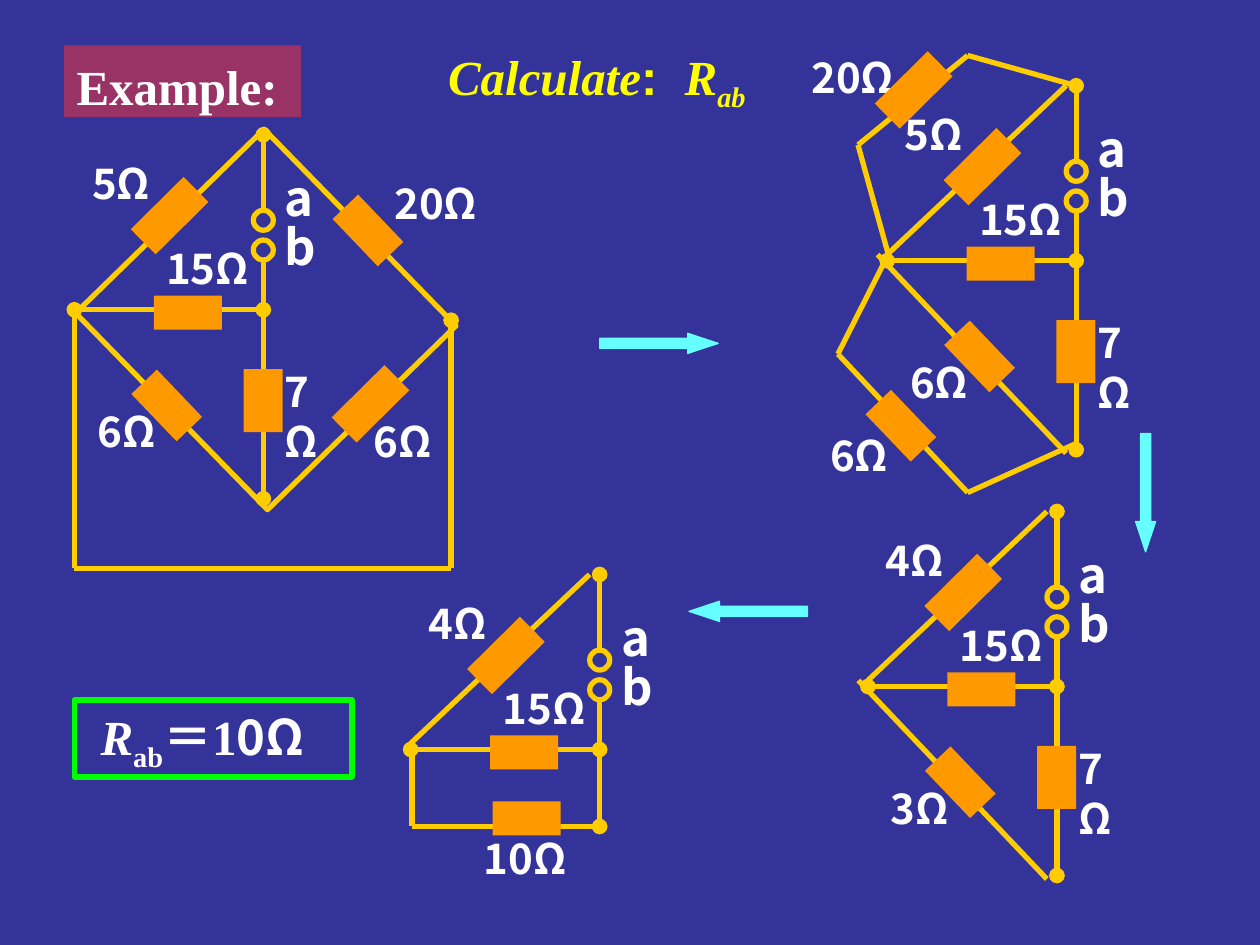
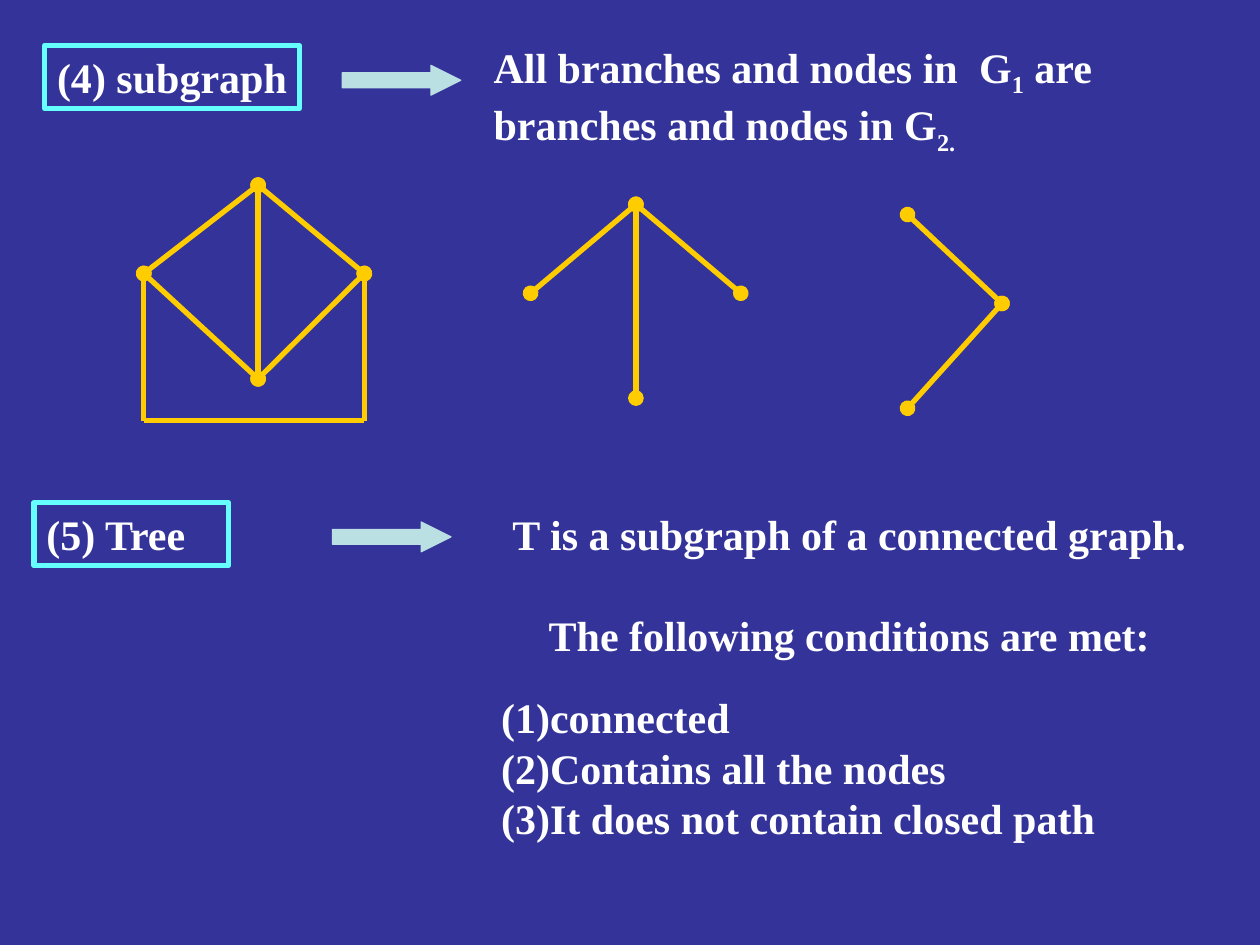
from itertools import pairwise

from pptx import Presentation
from pptx.dml.color import RGBColor
from pptx.enum import shapes, text
from pptx.oxml import ns
from pptx.oxml.xmlchemy import OxmlElement
from pptx.util import Pt

NAVY = RGBColor(0x33, 0x33, 0x99)
PLUM = RGBColor(0x99, 0x33, 0x66)
WHITE = RGBColor(0xFF, 0xFF, 0xFF)
YELLOW = RGBColor(0xFF, 0xFF, 0x00)
GOLD = RGBColor(0xFF, 0xCC, 0x00)
ORANGE = RGBColor(0xFF, 0x99, 0x00)
AQUA = RGBColor(0x66, 0xFF, 0xFF)
PALE_TEAL = RGBColor(0xBB, 0xE0, 0xE3)
GREEN = RGBColor(0x00, 0xFF, 0x00)

SERIF, SANS, PLAIN = "Times New Roman", "Noto Sans CJK SC", "Arial"
STROKE = 3
LINE_HEIGHT = 28.8

# Resistor symbols: width, height, rotation
RISING = (20.2, 42.5, 45.3)
FALLING = (20.2, 37.4, 316.3)
LEVEL = (38.9, 19.4, 0)
UPRIGHT = (22.3, 36, 0)


def new_slide(deck):
    slide = deck.slides.add_slide(deck.slide_layouts[6])
    slide.background.fill.solid()
    slide.background.fill.fore_color.rgb = NAVY
    return slide


def figure(slide, kind, left, top, width, height, fill=None, line=None,
           weight=STROKE, rotation=0):
    """Add a preset shape; without fill or line that part stays empty."""
    shape = slide.shapes.add_shape(kind, Pt(left), Pt(top), Pt(width), Pt(height))
    shape.shadow.inherit = False
    shape.rotation = rotation
    for part, colour in ((shape.fill, fill), (shape.line.fill, line)):
        if colour is None:
            part.background()
        else:
            part.solid()
            part.fore_color.rgb = colour
    if line is not None:
        shape.line.width = Pt(weight)
    return shape


def rectangle(slide, *place, **look):
    return figure(slide, shapes.MSO_SHAPE.RECTANGLE, *place, **look)


def text_box(slide, left, top, width, height):
    return slide.shapes.add_textbox(Pt(left), Pt(top), Pt(width), Pt(height))


def write(shape, paragraphs, size=24, font=SERIF, colour=WHITE,
          align=text.PP_ALIGN.LEFT):
    """Fill a shape; a paragraph is a string or a list of (words, format) runs."""
    frame = shape.text_frame
    frame.word_wrap = True
    frame.vertical_anchor = text.MSO_ANCHOR.TOP
    for index, content in enumerate(paragraphs):
        paragraph = frame.add_paragraph() if index else frame.paragraphs[0]
        paragraph.alignment = align
        runs = [(content, {})] if isinstance(content, str) else content
        for words, look in runs:
            run = paragraph.add_run()
            run.text = words
            run.font.size = Pt(size)
            run.font.bold = True
            run.font.italic = look.get("italic", False)
            run.font.name = look.get("font", font)
            run.font.color.rgb = colour
            properties = run._r.get_or_add_rPr()
            if look.get("sub"):
                properties.set("baseline", "-25000")
            if "tracking" in look:
                properties.set("spc", str(look["tracking"]))
    return frame


def label(slide, words, left, top, width=51, size=24):
    write(text_box(slide, left, top, width, 1.5 * size), [words], size, SANS)


def wire(slide, start, end, head=False, tail=False):
    """Draw a gold line, with a node dot at the head (start) or tail (end)."""
    line = slide.shapes.add_connector(
        shapes.MSO_CONNECTOR.STRAIGHT, *(Pt(value) for value in (*start, *end)))
    line.line.color.rgb = GOLD
    line.line.width = Pt(STROKE)
    properties = line._element.spPr
    outline = properties.find(ns.qn("a:ln"))
    for tag, dotted in (("a:headEnd", head), ("a:tailEnd", tail)):
        if dotted:
            dot = OxmlElement(tag)
            dot.set("type", "oval")
            outline.append(dot)
    properties.append(OxmlElement("a:effectLst"))


def wire_path(slide, *points):
    for start, end in pairwise(points):
        wire(slide, start, end)


def resistor(slide, left, top, symbol):
    width, height, rotation = symbol
    rectangle(slide, left, top, width, height, fill=ORANGE, rotation=rotation)


def block_arrow(slide, left, top, height, head, colour, rotation=0):
    arrow = figure(slide, shapes.MSO_SHAPE.RIGHT_ARROW, left, top, 67.7, height,
                   fill=colour, line=colour, weight=0.75, rotation=rotation)
    arrow.adjustments[0], arrow.adjustments[1] = 0.5, head


def circuit(slide, x, top, rising, falling=None, diagonals=True):
    """Draw the part all circuits share, hung from the node above terminal a.

    Without a falling branch the terminal column is short and has no 7Ω.
    """
    middle, left = top + 100, x - 108
    bottom = top + (208 if falling else 144)
    if diagonals:
        wire(slide, (left, top + 96.5), (x - 5.8, top))
        if falling:
            wire(slide, (left - 5.5, top + 96.5), (x - 5.8, top + 210))
    wire(slide, (x, top), (x, top + 43.2), head=True)
    wire(slide, (x, top + 71.6), (x, bottom), tail=True)
    wire(slide, (left, middle), (x, middle), head=True, tail=True)
    for terminal_top in (43.2, 60.2):
        figure(slide, shapes.MSO_SHAPE.OVAL, x - 5.7, top + terminal_top,
               11.4, 11.4, line=GOLD)

    resistor(slide, x - 63.7, top + 25, RISING)
    resistor(slide, x - 62.6, top + 92, LEVEL)
    label(slide, rising, x - 105, top + 9.4)
    label(slide, "15Ω", x - 62.6, top + 58.3, 67.7)
    label(slide, "a", x + 5.3, top + 15.1, 28.3, 28)
    label(slide, "b", x + 5.3, top + 43.2, 28.3, 28)
    if falling:
        resistor(slide, x - 65.3, top + 136, FALLING)
        resistor(slide, x - 11.3, top + 134, UPRIGHT)
        label(slide, falling, x - 102, top + 151.2, 57)
        label(slide, "7Ω", x + 5.3, top + 128.2, 45.4)


def given_circuit(slide):
    rectangle(slide, 73.4, 107.3, 157, 150.5, line=GOLD, rotation=45.7)
    wire_path(slide, (42.5, 177), (42.5, 324.7), (257.8, 324.7))
    wire(slide, (257.8, 183), (257.8, 324.7), head=True)
    circuit(slide, 150.5, 77, "5Ω", "6Ω", diagonals=False)
    resistor(slide, 200.2, 113, FALLING)
    resistor(slide, 201.6, 209.5, RISING)
    label(slide, "20Ω", 218.2, 98, 62)
    label(slide, "6Ω", 206.6, 234)


def redrawn_circuit(slide):
    hub = (507.6, 145.4)
    wire_path(slide, hub, (478.8, 202.3), (553, 281.5), (615, 253.4))
    wire_path(slide, hub, (490.3, 82.8), (553, 31.7), (615, 49))
    label(slide, "20Ω", 456.5, 26, 62)
    resistor(slide, 512, 30.2, RISING)
    circuit(slide, 615, 49, "5Ω", "6Ω")
    resistor(slide, 504.7, 224.6, FALLING)
    label(slide, "6Ω", 467.3, 242)


def reduced_circuit(slide):
    wire_path(slide, (235.4, 424.8), (235.4, 472.3), (342.7, 472.3))
    circuit(slide, 342.7, 328.3, "4Ω")
    resistor(slide, 281.5, 458, LEVEL)
    label(slide, "10Ω", 269.3, 472.3, 79)


def example_slide(deck):
    slide = new_slide(deck)
    heading = rectangle(slide, 36.7, 26, 135.4, 41, fill=PLUM)
    frame = write(heading, ["Example:"], 28)
    frame.margin_top = Pt(6.4)

    task = text_box(slide, 249, 23, 188, 41)
    write(task, [[("Calculate", {"italic": True}),
                  (":", {"font": PLAIN}),
                  (" ", {"font": PLAIN, "tracking": 780}),
                  ("R", {"italic": True}),
                  ("ab", {"italic": True, "sub": True})]], 28, colour=YELLOW)

    given_circuit(slide)
    redrawn_circuit(slide)
    circuit(slide, 604, 292.3, "4Ω", "3Ω")
    reduced_circuit(slide)
    for left, top, rotation in ((342.7, 190.5, 0), (620.8, 275.8, 90),
                                (393.7, 343.6, 180)):
        block_arrow(slide, left, top, 11.5, 1.51, AQUA, rotation)

    answer = rectangle(slide, 42.5, 400, 158.7, 44, line=GREEN)
    frame = write(answer, [[("R", {"italic": True}), ("ab", {"sub": True}),
                            ("＝1", {}), ("0Ω", {"font": SANS})]], 28)
    frame.margin_left = Pt(15)


def graph(slide, nodes, edges, corners=None):
    """Draw edges between named points, with dots at nodes but not at corners."""
    points = nodes | (corners or {})
    for start, end in edges:
        wire(slide, points[start], points[end], start in nodes, end in nodes)


def term(slide, words, left, top, width, arrow_left, arrow_top):
    """Draw a framed term and the arrow to its definition."""
    frame = write(rectangle(slide, left, top, width, 36, line=AQUA), [words])
    frame.margin_right = 0
    block_arrow(slide, arrow_left, arrow_top, 17, 1, PALE_TEAL)


def definitions_slide(deck):
    slide = new_slide(deck)
    term(slide, "(4) subgraph", 25.5, 26, 145.5, 195.6, 37.4)
    write(text_box(slide, 275, 20, 432, 65.5),
          [[("All branches and nodes in", {}), (" ", {"tracking": 600}),
            ("G", {}), ("1", {"sub": True}),
            (" are branches and nodes in G", {}), ("2.", {"sub": True})]])

    graph(slide,
          {"top": (147.5, 105.8), "left": (82.2, 156.3),
           "right": (208.2, 156.3), "bottom": (147.5, 216.5)},
          [("top", "left"), ("top", "bottom"), ("left", "bottom"),
           ("top", "right"), ("right", "bottom"), ("left", "low left"),
           ("low left", "low right"), ("right", "low right")],
          {"low left": (82.2, 240.4), "low right": (208.2, 240.4)})
    graph(slide,
          {"top": (363.4, 116.8), "bottom": (363.4, 227.5),
           "left": (303.2, 167.6), "right": (423.3, 167.6)},
          [("top", "bottom"), ("top", "left"), ("top", "right")])
    graph(slide,
          {"top": (518.6, 122.6), "right": (572.6, 173.4), "bottom": (518.6, 233.3)},
          [("top", "right"), ("right", "bottom")])

    term(slide, "(5) Tree", 19.5, 287.3, 111, 190, 298.3)
    meaning = write(text_box(slide, 257.8, 287.3, 455, 94.3),
                    ["T is a subgraph of a connected graph.",
                     "The following conditions are met:"],
                    align=text.PP_ALIGN.CENTER)
    meaning.paragraphs[1].space_before = Pt(LINE_HEIGHT)
    conditions = write(text_box(slide, 279.3, 391.7, 433.4, 94.3),
                       ["(1)connected", "(2)Contains all the nodes",
                        "(3)It does not contain closed path"])
    for paragraph in meaning.paragraphs + conditions.paragraphs:
        paragraph.line_spacing = Pt(LINE_HEIGHT)


def main():
    deck = Presentation()
    deck.slide_width, deck.slide_height = Pt(720), Pt(540)
    example_slide(deck)
    definitions_slide(deck)
    deck.save("out.pptx")


if __name__ == "__main__":
    main()
